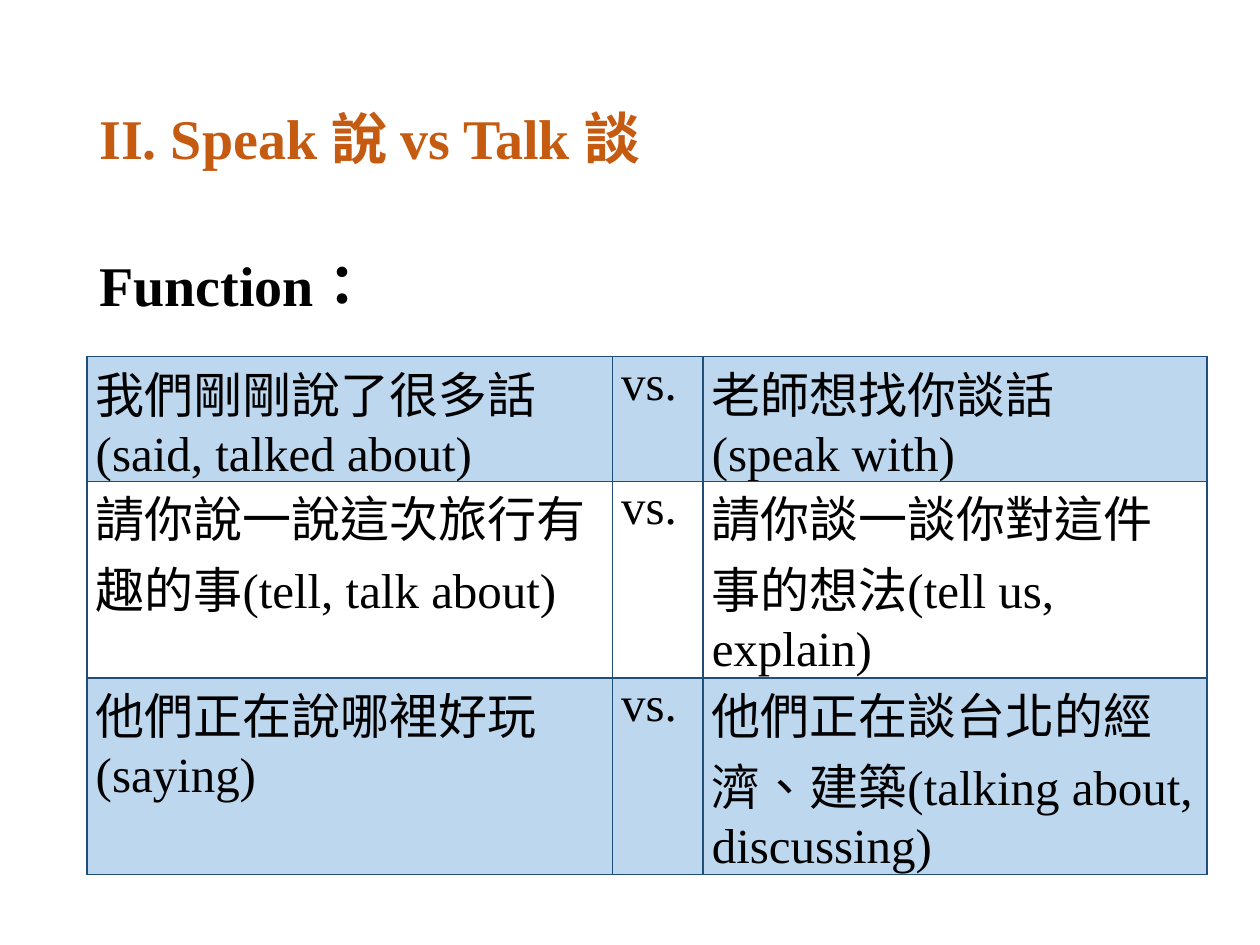
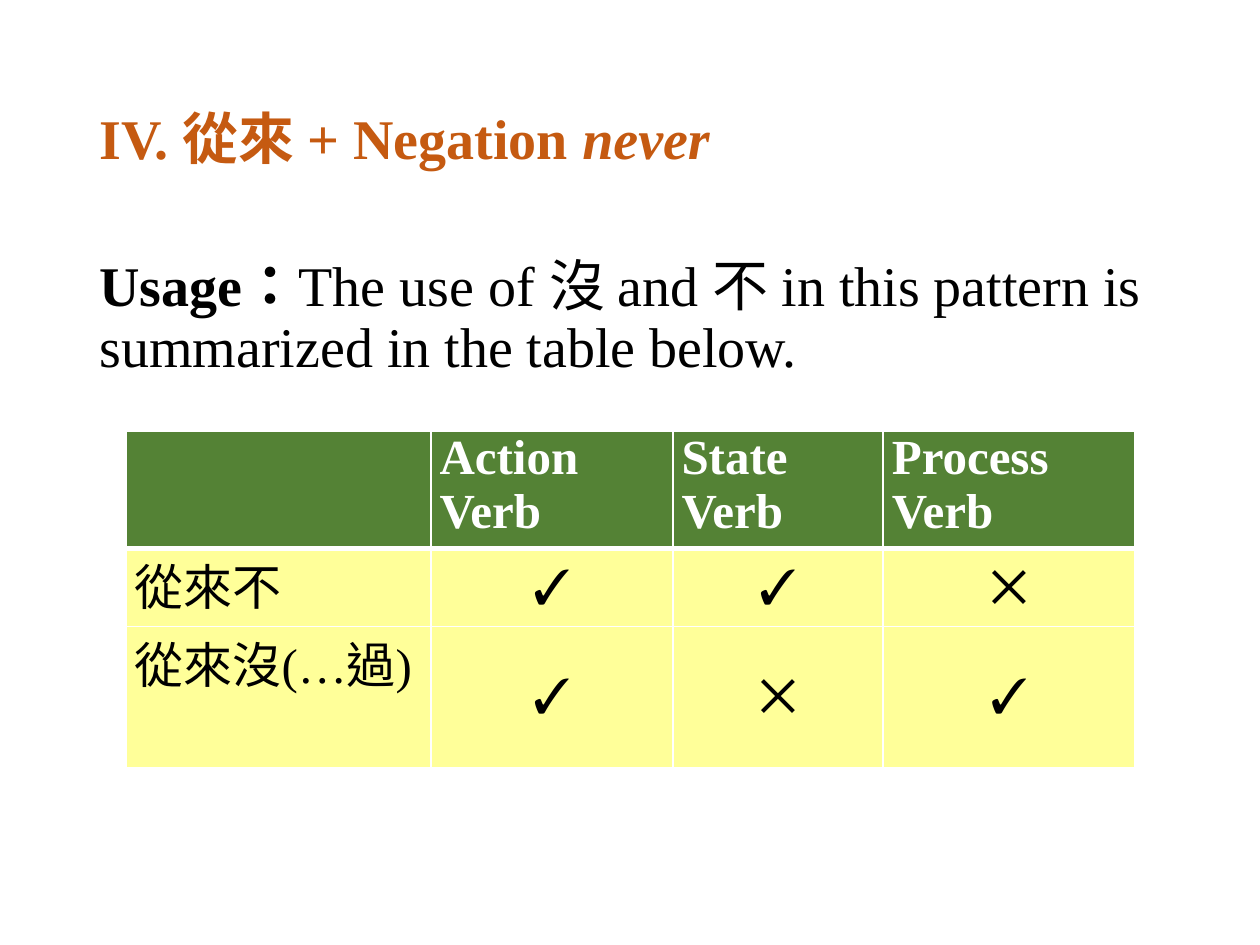
from dataclasses import dataclass

from lxml import etree
from pptx import Presentation
from pptx.dml.color import RGBColor
from pptx.enum.lang import MSO_LANGUAGE_ID
from pptx.enum.text import MSO_ANCHOR, PP_ALIGN
from pptx.oxml.ns import qn
from pptx.util import Inches, Pt

TOP, MIDDLE = MSO_ANCHOR.TOP, MSO_ANCHOR.MIDDLE
LEFT, CENTER, JUSTIFY = PP_ALIGN.LEFT, PP_ALIGN.CENTER, PP_ALIGN.JUSTIFY
CHINESE = MSO_LANGUAGE_ID.TRADITIONAL_CHINESE
BLANK_LAYOUT = 6


@dataclass(frozen=True)
class Theme:
    font: str = "Times New Roman"
    heading_size: int = 32
    table_size: int = 28
    line_spacing: float = 0.9
    title: str = "C55A11"
    text: str = "000000"
    white: str = "FFFFFF"
    blue_band: str = "BDD7EE"
    blue_line: str = "1F4E79"
    green_header: str = "548235"
    yellow_body: str = "FFFF99"


@dataclass(frozen=True)
class Run:
    text: str
    bold: bool = False
    italic: bool = False


@dataclass(frozen=True)
class CellStyle:
    fill: str
    color: str
    bold: bool = False
    align: int = LEFT
    anchor: int = TOP


class Deck:
    def __init__(self, theme):
        self.theme = theme
        self.presentation = Presentation()
        self.presentation.slide_width = Inches(10)
        self.presentation.slide_height = Inches(7.5)
        self.slide = None

    def add_slide(self, title_runs, body_runs):
        layout = self.presentation.slide_layouts[BLANK_LAYOUT]
        self.slide = self.presentation.slides.add_slide(layout)
        self.add_text(0.4, 1.45, title_runs, self.theme.title, MIDDLE)
        self.add_text(2, 4.76, body_runs, self.theme.text, TOP)

    def add_text(self, top, height, runs, color, anchor):
        shape = self.slide.shapes.add_textbox(
            Inches(0.69), Inches(top), Inches(8.62), Inches(height))
        frame = shape.text_frame
        frame.word_wrap = True
        frame.vertical_anchor = anchor
        paragraph = frame.paragraphs[0]
        paragraph.line_spacing = self.theme.line_spacing
        for run in runs:
            self.add_run(paragraph, run, self.theme.heading_size, color)

    def add_run(self, paragraph, run, size, color):
        text_run = paragraph.add_run()
        text_run.text = run.text
        font = text_run.font
        font.name = self.theme.font
        font.language_id = CHINESE
        font.size = Pt(size)
        font.bold = run.bold
        font.italic = run.italic
        font.color.rgb = RGBColor.from_string(color)

    def add_table(self, left, top, column_widths, row_heights, rows,
                  line_color, style_of, header_rule=1):
        """style_of(row, column) gives a CellStyle; header_rule is in points."""
        shape = self.slide.shapes.add_table(
            len(rows), len(column_widths), Inches(left), Inches(top),
            Inches(sum(column_widths)), Inches(sum(row_heights)))
        table = shape.table
        table.first_row = False
        table.horz_banding = False
        for column, width in zip(table.columns, column_widths):
            column.width = Inches(width)
        for row, height in zip(table.rows, row_heights):
            row.height = Inches(height)

        for row_index, texts in enumerate(rows):
            for column_index, text in enumerate(texts):
                cell = table.cell(row_index, column_index)
                widths = {"L": 1, "R": 1,
                          "T": header_rule if row_index == 1 else 1,
                          "B": header_rule if row_index == 0 else 1}
                self.set_borders(cell, line_color, widths)
                self.fill_cell(cell, text, style_of(row_index, column_index))

    def set_borders(self, cell, color, widths):
        properties = cell._tc.get_or_add_tcPr()
        for side, width in widths.items():
            line = etree.SubElement(properties, qn(f"a:ln{side}"), w=str(Pt(width)))
            fill = etree.SubElement(line, qn("a:solidFill"))
            etree.SubElement(fill, qn("a:srgbClr"), val=color)

    def fill_cell(self, cell, text, style):
        cell.fill.solid()
        cell.fill.fore_color.rgb = RGBColor.from_string(style.fill)
        cell.margin_left = cell.margin_right = Inches(0.07)
        cell.margin_top = cell.margin_bottom = 0
        cell.vertical_anchor = style.anchor
        frame = cell.text_frame
        for index, line in enumerate(text.split("\n") if text else []):
            paragraph = frame.add_paragraph() if index else frame.paragraphs[0]
            paragraph.alignment = style.align
            self.add_run(paragraph, Run(line, style.bold),
                         self.theme.table_size, style.color)


def add_speak_and_talk(deck):
    theme = deck.theme
    deck.add_slide([Run("II. Speak 說 vs Talk 談", bold=True)],
                   [Run("Function：", bold=True)])
    comparisons = [
        ("我們剛剛說了很多話(said, talked about)", "老師想找你談話\n(speak with)"),
        ("請你說一說這次旅行有趣的事(tell, talk about)",
         "請你談一談你對這件事的想法(tell us, explain)"),
        ("他們正在說哪裡好玩 (saying)",
         "他們正在談台北的經濟、建築(talking about, discussing)"),
    ]

    def banded(row, column):
        fill = theme.white if row % 2 else theme.blue_band
        return CellStyle(fill, theme.text)

    deck.add_table(0.69, 2.83, [4.17, 0.72, 4], [0.99, 1.56, 1.56],
                   [(speak, "vs.", talk) for speak, talk in comparisons],
                   theme.blue_line, banded)


def add_never(deck):
    theme = deck.theme
    deck.add_slide(
        [Run("IV. 從來 + Negation ", bold=True), Run("never", bold=True, italic=True)],
        [Run("Usage：", bold=True),
         Run("The use of 沒 and 不 in this pattern is summarized in the table below.")])
    rows = [
        ("", "Action Verb", "State Verb", "Process Verb"),
        ("從來不", "✓", "✓", "✕"),
        ("從來沒(…過)", "✓", "✕", "✓"),
    ]

    def header_and_marks(row, column):
        if row == 0:
            return CellStyle(theme.green_header, theme.white, True, JUSTIFY)
        if column == 0:
            return CellStyle(theme.yellow_body, theme.text, align=JUSTIFY)
        return CellStyle(theme.yellow_body, theme.text, align=CENTER, anchor=MIDDLE)

    deck.add_table(1, 3.42, [2.42, 1.92, 1.67, 2], [0.86, 0.62, 1.12], rows,
                   theme.white, header_and_marks, header_rule=3)


def main():
    deck = Deck(Theme())
    add_speak_and_talk(deck)
    add_never(deck)
    deck.presentation.save("out.pptx")


if __name__ == "__main__":
    main()
